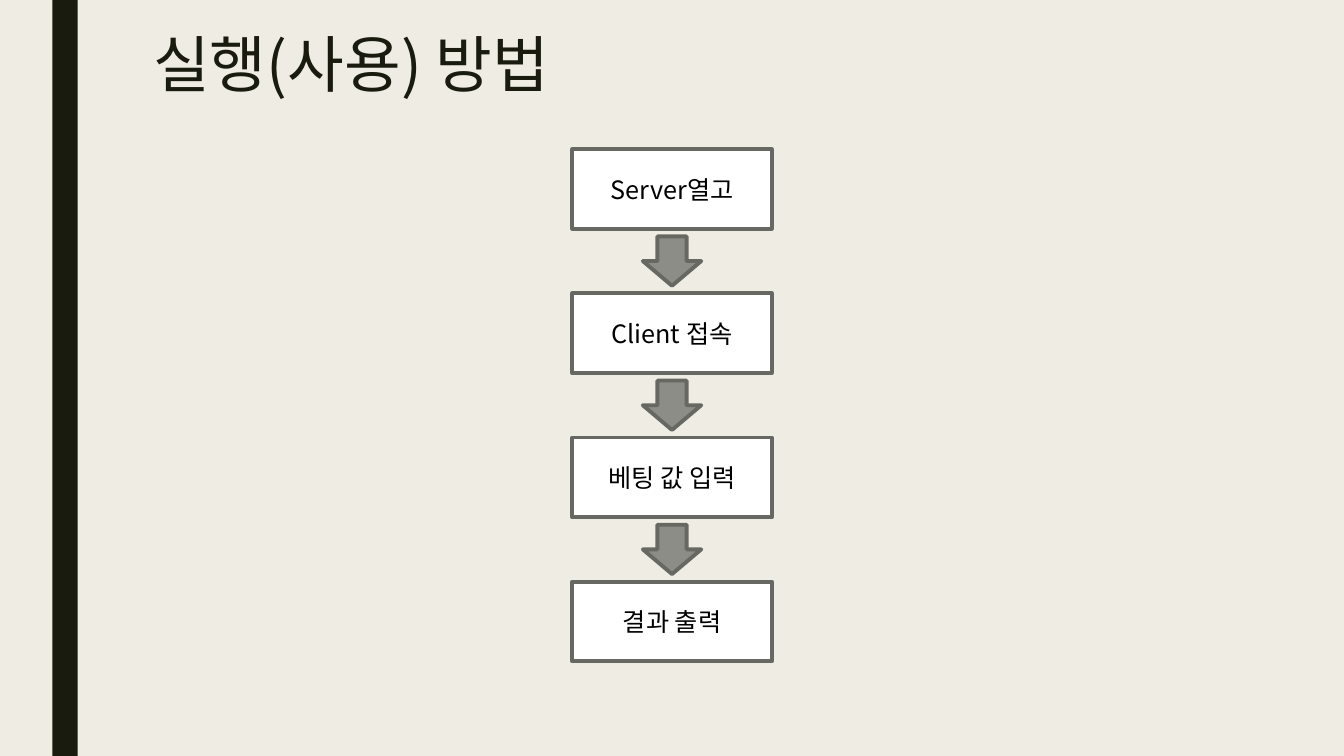
from lxml.etree import SubElement
from pptx import Presentation
from pptx.dml.color import RGBColor
from pptx.enum.shapes import MSO_SHAPE as SHAPE
from pptx.enum.text import MSO_ANCHOR as ANCHOR, PP_ALIGN as ALIGN
from pptx.oxml.ns import qn
from pptx.util import Inches, Pt

TITLE = "실행(사용) 방법"
STEPS = ["Server열고", "Client 접속", "베팅 값 입력", "결과 출력"]
FONT = "Noto Sans CJK KR"
COLORS = {"bg": "EFEDE3", "dark": "191B0E", "box": "FFFFFF",
          "line": "686863", "arrow": "8C8D86", "text": "000000"}
WIDTH, HEIGHT = 13.33, 7.5
BOX_W, BOX_H = 1.98, 0.79
ARROW_W, ARROW_H = 0.58, 0.49
TOP, PITCH = 1.48, 1.43


def rgb(name):
    return RGBColor.from_string(COLORS[name])


def add_block(slide, kind, x, y, w, h, fill, line=None):
    sp = slide.shapes.add_shape(kind, Inches(x), Inches(y), Inches(w), Inches(h))
    sp.shadow.inherit = False
    sp.fill.solid()
    sp.fill.fore_color.rgb = rgb(fill)
    if line:
        sp.line.color.rgb = rgb(line)
        sp.line.width = Pt(2.75)
    else:
        sp.line.fill.background()
    return sp


def set_text(sp, text, size, color, align, anchor):
    tf = sp.text_frame
    tf.text = text
    tf.word_wrap = True
    tf.vertical_anchor = anchor
    p = tf.paragraphs[0]
    p.alignment = align
    r = p.runs[0]
    r.font.size = Pt(size)
    r.font.name = FONT
    r.font.color.rgb = rgb(color)
    SubElement(r.font._element, qn("a:ea")).set("typeface", FONT)
    return p


def main():
    prs = Presentation()
    prs.slide_width, prs.slide_height = Inches(WIDTH), Inches(HEIGHT)
    slide = prs.slides.add_slide(prs.slide_layouts[5])
    slide.background.fill.solid()
    slide.background.fill.fore_color.rgb = rgb("bg")

    add_block(slide, SHAPE.RECTANGLE, 0.52, 0, 0.25, HEIGHT, "dark")

    title = slide.shapes.title
    title.left, title.top = Inches(1.42), Inches(0.3)
    title.width, title.height = Inches(10.5), Inches(0.91)
    p = set_text(title, TITLE, 44, "dark", ALIGN.LEFT, ANCHOR.TOP)
    p.line_spacing = 0.89

    for i, step in enumerate(STEPS):
        y = TOP + i * PITCH
        box = add_block(slide, SHAPE.RECTANGLE, (WIDTH - BOX_W) / 2, y,
                        BOX_W, BOX_H, "box", "line")
        set_text(box, step, 18, "text", ALIGN.CENTER, ANCHOR.MIDDLE)
        if i < len(STEPS) - 1:
            arrow_y = y + (BOX_H + PITCH - ARROW_H) / 2
            add_block(slide, SHAPE.DOWN_ARROW, (WIDTH - ARROW_W) / 2, arrow_y,
                      ARROW_W, ARROW_H, "arrow", "line")

    prs.save("out.pptx")


if __name__ == "__main__":
    main()
